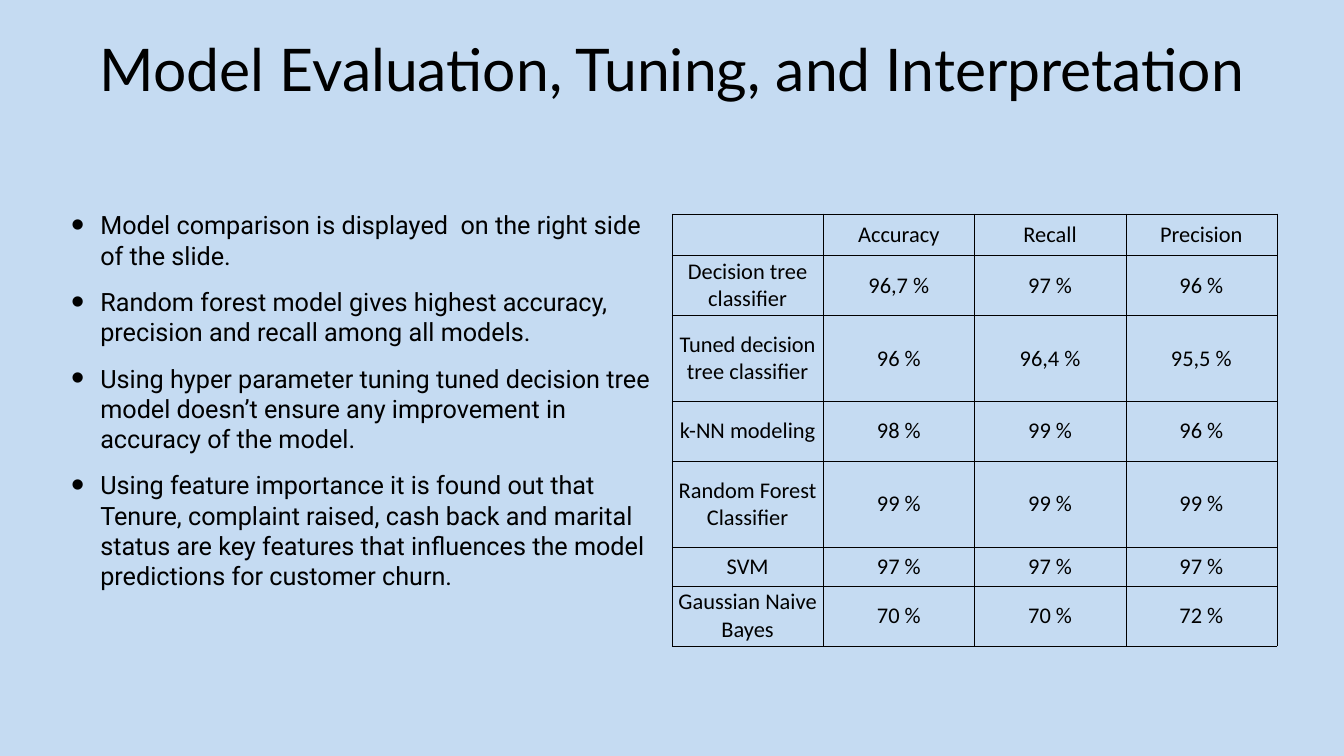
from lxml import etree
from pptx import Presentation
from pptx.dml.color import RGBColor
from pptx.enum.text import MSO_ANCHOR, MSO_AUTO_SIZE, PP_ALIGN
from pptx.oxml.ns import qn
from pptx.util import Inches, Pt

# Content
TITLE = "Model Evaluation, Tuning, and Interpretation"
FINDINGS = [
    "Model comparison is displayed  on the right side of the slide.",
    "Random forest model gives highest accuracy, precision and recall among all models.",
    "Using hyper parameter tuning tuned decision tree model doesn’t ensure any "
    "improvement in accuracy of the model.",
    "Using feature importance it is found out that Tenure, complaint raised, cash back "
    "and marital status are key features that influences the model predictions for "
    "customer churn.",
]
METRICS = ["", "Accuracy", "Recall", "Precision"]
# Row height in inches, model, scores in percent
MODELS = [
    (1.18, "Decision tree classifier", "96,7", "97", "96"),
    (1.71, "Tuned decision tree classifier", "96", "96,4", "95,5"),
    (1.18, "k-NN modeling", "98", "99", "96"),
    (1.71, "Random Forest Classifier", "99", "99", "99"),
    (0.77, "SVM", "97", "97", "97"),
    (1.18, "Gaussian Naive Bayes", "70", "70", "72"),
]
HEADER_HEIGHT = 0.83
COLUMN_WIDTH = 3

THEME = {
    "background": "C5DBF2",
    "ink": "000000",
    "title": ("Lato", 84),
    "body": ("Roboto", 36),
    "table": ("Calibri", 32),
    "border": 0.45,
}
NBSP = chr(160)


def style(p, role):
    name, size = THEME[role]
    for r in p.runs:
        r.font.name = name
        r.font.size = Pt(size)
        r.font.color.rgb = RGBColor.from_string(THEME["ink"])


def place(sp, left, top, width, height):
    sp.left, sp.top = Inches(left), Inches(top)
    sp.width, sp.height = Inches(width), Inches(height)
    tf = sp.text_frame
    tf.margin_left = tf.margin_right = tf.margin_top = tf.margin_bottom = Inches(0.06)
    tf.vertical_anchor = MSO_ANCHOR.TOP
    tf.auto_size = MSO_AUTO_SIZE.NONE
    tf.word_wrap = True
    return tf


def add_color(parent, tag):
    holder = etree.SubElement(parent, qn(tag))
    etree.SubElement(holder, qn("a:srgbClr"), val=THEME["ink"])


def add_bullet(p):
    pPr = p._p.get_or_add_pPr()
    pPr.set("marL", str(Inches(0.58)))
    pPr.set("indent", str(-Inches(0.58)))
    add_color(pPr, "a:buClr")
    etree.SubElement(pPr, qn("a:buSzPct"), val="150000")
    etree.SubElement(pPr, qn("a:buFont"), typeface="Arial")
    etree.SubElement(pPr, qn("a:buChar"), char="•")


def add_borders(cell):
    tcPr = cell._tc.get_or_add_tcPr()
    for side in ("a:lnL", "a:lnR", "a:lnT", "a:lnB"):
        line = etree.SubElement(tcPr, qn(side), w=str(Pt(THEME["border"])))
        add_color(line, "a:solidFill")


def fill_cell(cell, text):
    add_borders(cell)
    cell.fill.background()
    cell.margin_left = cell.margin_right = Inches(0.06)
    cell.margin_top = cell.margin_bottom = Inches(0.05)
    cell.vertical_anchor = MSO_ANCHOR.MIDDLE
    cell.text_frame.text = text
    p = cell.text_frame.paragraphs[0]
    p.alignment = PP_ALIGN.CENTER
    style(p, "table")


def main():
    prs = Presentation()
    prs.slide_width, prs.slide_height = Inches(26.66), Inches(15)
    slide = prs.slides.add_slide(prs.slide_layouts[1])
    slide.background.fill.solid()
    slide.background.fill.fore_color.rgb = RGBColor.from_string(THEME["background"])

    # Title
    tf = place(slide.shapes.title, 1.33, 0.85, 24, 1.89)
    tf.text = TITLE
    p = tf.paragraphs[0]
    p.alignment = PP_ALIGN.CENTER
    p.line_spacing = 0.8
    style(p, "title")

    # Findings
    tf = place(slide.placeholders[1], 1.35, 4.1, 11.75, 9.52)
    tf.text = "\n".join(FINDINGS)
    for p in tf.paragraphs:
        p.space_before = Pt(23)
        add_bullet(p)
        style(p, "body")

    # Model comparison table
    heights = [HEADER_HEIGHT] + [height for height, *_ in MODELS]
    rows = [METRICS] + [
        [model] + [f"{score}{NBSP}%" for score in scores]
        for _, model, *scores in MODELS
    ]
    table = slide.shapes.add_table(
        len(rows), len(METRICS), Inches(13.33), Inches(4.24),
        Inches(COLUMN_WIDTH * len(METRICS)), Inches(sum(heights)),
    ).table
    table.first_row = table.horz_banding = False
    for column in table.columns:
        column.width = Inches(COLUMN_WIDTH)
    for row, height, texts in zip(table.rows, heights, rows):
        row.height = Inches(height)
        for cell, text in zip(row.cells, texts):
            fill_cell(cell, text)

    prs.save("out.pptx")


if __name__ == "__main__":
    main()
